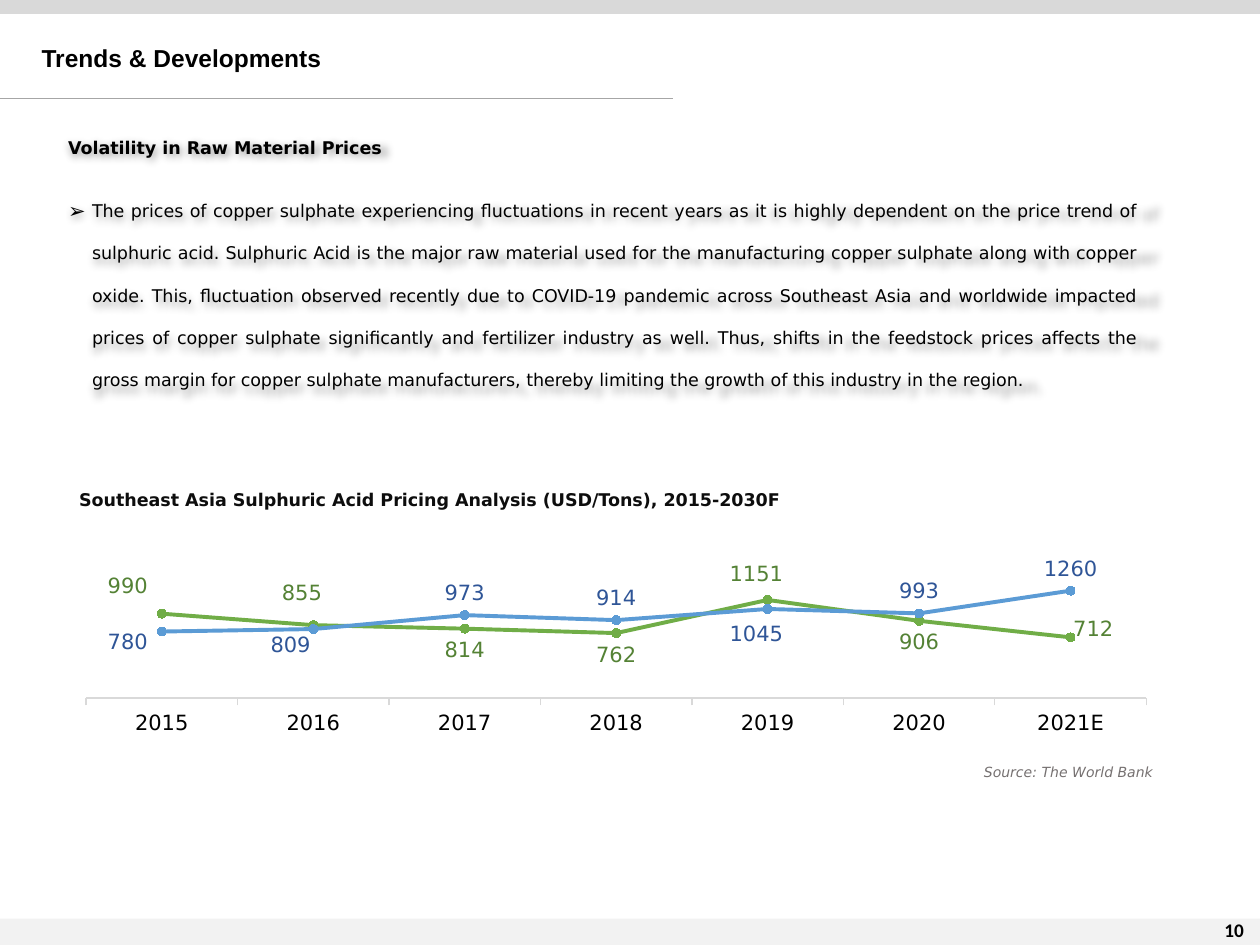
from lxml.etree import SubElement as Sub
from pptx import Presentation
from pptx.chart.data import CategoryChartData as Data
from pptx.dml.color import RGBColor
from pptx.enum.chart import XL_CHART_TYPE as Kind, XL_LABEL_POSITION as Spot
from pptx.enum.chart import XL_MARKER_STYLE as Mark, XL_TICK_MARK as Tick
from pptx.enum.shapes import MSO_CONNECTOR as Link, MSO_SHAPE as Form
from pptx.enum.text import MSO_ANCHOR as Anchor, MSO_AUTO_SIZE as Fit, PP_ALIGN as Align
from pptx.oxml import parse_xml
from pptx.oxml.ns import qn
from pptx.util import Inches, Pt

COLS, ROWS = 100, 75
SANS = "DejaVu Sans"
YEARS = ["2015", "2016", "2017", "2018", "2019", "2020", "2021E"]
LINES = [
    ("Series 1", [990, 855, 814, 762, 1151, 906, 712], "70AD47", "548235", Spot.BELOW,
     {0: (-0.03, -0.23), 1: (-0.01, -0.25), 4: (-0.01, -0.22), 6: (0.02, -0.14)}),
    ("Series 2", [780, 809, 973, 914, 1045, 993, 1260], "5B9BD5", "2F5597", Spot.ABOVE,
     {0: (-0.03, 0.15), 1: (-0.02, 0.18), 4: (-0.01, 0.22)}),
]
TREND = (
    "The prices of copper sulphate experiencing fluctuations in recent years as it is highly "
    "dependent on the price trend of sulphuric acid. Sulphuric Acid is the major raw material "
    "used for the manufacturing copper sulphate along with copper oxide. This, fluctuation "
    "observed recently due to COVID-19 pandemic across Southeast Asia and worldwide impacted "
    "prices of copper sulphate significantly and fertilizer industry as well. Thus, shifts in "
    "the feedstock prices affects the gross margin for copper sulphate manufacturers, thereby "
    "limiting the growth of this industry in the region."
)


def tint(code):
    """Turn a hex string into a colour."""
    return RGBColor.from_string(code)


def style(font, size, code, name=SANS, bold=False, slant=False):
    """Set every trait of a font."""
    font.name, font.size, font.bold, font.italic = name, Pt(size), bold, slant
    font.color.rgb = tint(code)


def place(node, spot, **parts):
    """Put a manual chart layout into a node."""
    for old in node.findall(qn("c:layout")):
        node.remove(old)
    lay = node.makeelement(qn("c:layout"))
    node.insert(spot, lay)
    man = Sub(lay, qn("c:manualLayout"))
    for key, val in parts.items():
        Sub(man, qn("c:" + key), val=str(val))


class Page:
    """Hold the slide and its grid, and draw each kind of element."""

    def __init__(self, deck):
        """Start a slide with a title and a body."""
        self.slide = deck.slides.add_slide(deck.slide_layouts[1])
        self.shapes = self.slide.shapes
        self.col, self.row = deck.slide_width / COLS, deck.slide_height / ROWS

    def area(self, x, y, w, h):
        """Turn columns and rows into lengths."""
        return [int(n * u) for n, u in zip((x, y, w, h), (self.col, self.row) * 2)]

    def move(self, item, *box):
        """Move an item to a grid area."""
        item.left, item.top, item.width, item.height = self.area(*box)

    def band(self, y, h, code):
        """Draw a bar over the whole width."""
        bar = self.shapes.add_shape(Form.RECTANGLE, *self.area(0, y, COLS, h))
        bar.shadow.inherit = False
        bar.fill.solid()
        bar.fill.fore_color.rgb = tint(code)
        bar.line.fill.background()

    def rule(self, x, y, end):
        """Draw a thin level line."""
        a, b, c, d = self.area(x, y, end, y)
        line = self.shapes.add_connector(Link.STRAIGHT, a, b, c, d)
        line.line.color.rgb, line.line.width = tint("A6A6A6"), Pt(0.5)
        Sub(line._element.spPr, qn("a:effectLst"))

    def title(self, text, *box):
        """Fill the title placeholder."""
        item = self.shapes.title
        self.move(item, *box)
        frame = item.text_frame
        frame.text, frame.auto_size, frame.vertical_anchor = text, Fit.NONE, Anchor.MIDDLE
        para = frame.paragraphs[0]
        para.alignment, para.line_spacing = Align.LEFT, Pt(17)
        style(para.font, 14, "000000", "Arial", True)

    def body(self, head, text, *box):
        """Fill the body placeholder with a heading and one bullet."""
        item = self.slide.placeholders[1]
        self.move(item, *box)
        frame = item.text_frame
        frame.text, frame.auto_size = head + "\n" + text, Fit.NONE
        top, point = frame.paragraphs
        for para, gap, space, bold in ((top, 0, 1, True), (point, 12, 2, False)):
            para.alignment, para.line_spacing = Align.JUSTIFY, space
            para.space_before = Pt(gap)
            style(para.font, 10, "000000", bold=bold)
            dent = 0 if bold else Inches(0.19)
            prop = para._p.get_or_add_pPr()
            prop.set("marL", str(dent))
            prop.set("indent", str(-dent))
        Sub(top._p.pPr, qn("a:buNone"))
        for tag, key, val in (("buSzPct", "val", "120000"), ("buFont", "typeface", SANS),
                              ("buChar", "char", "➢")):
            Sub(point._p.pPr, qn("a:" + tag)).set(key, val)
        for prop in frame._txBody.iter(qn("a:pPr")):
            prop.append(prop.find(qn("a:defRPr")))
        glow = Sub(Sub(item._element.spPr, qn("a:effectLst")), qn("a:outerShdw"),
                   blurRad="63500", sx="102000", sy="102000", algn="ctr", rotWithShape="0")
        Sub(Sub(glow, qn("a:prstClr"), val="black"), qn("a:alpha"), val="40000")

    def text(self, words, box, size, code, align=Align.LEFT, space=1, **look):
        """Add a one-line text box."""
        frame = self.shapes.add_textbox(*self.area(*box)).text_frame
        frame.text, frame.word_wrap = words, True
        frame.vertical_anchor = Anchor.MIDDLE if align == Align.CENTER else Anchor.TOP
        para = frame.paragraphs[0]
        para.alignment, para.line_spacing = align, space
        style(para.font, size, code, **look)

    def chart(self, *box):
        """Add the price chart."""
        data = Data(number_format="0")
        data.categories = YEARS
        for name, vals, *_ in LINES:
            data.add_series(name, vals)
        chart = self.shapes.add_chart(Kind.LINE_MARKERS, *self.area(*box), data).chart
        chart.has_legend = chart.has_title = False
        style(chart.font, 12, "000000")
        cat, val = chart.category_axis, chart.value_axis
        cat.major_tick_mark = Tick.OUTSIDE
        cat.has_major_gridlines = val.has_major_gridlines = False
        cat.format.line.color.rgb, cat.format.line.width = tint("D9D9D9"), Pt(0.75)
        style(cat.tick_labels.font, 12, "000000")
        val.visible, val.minimum_scale, val.maximum_scale = False, 0, 1350
        for ser, (_, _, code, ink, spot, moves) in zip(chart.plots[0].series, LINES):
            self.series(ser, code, ink, spot, moves)
        place(chart._chartSpace.chart.plotArea, 0, layoutTarget="inner", xMode="edge",
              yMode="edge", x=0.017, y=0.187, w=0.934, h=0.537)

    def series(self, ser, code, ink, spot, moves):
        """Format one line with its markers and labels."""
        ser.smooth = False
        ser.format.line.color.rgb, ser.format.line.width = tint(code), Pt(2.25)
        ser.marker.style, ser.marker.size = Mark.CIRCLE, 5
        look = ser.marker.format
        look.fill.solid()
        look.fill.fore_color.rgb = look.line.color.rgb = tint(code)
        tags = ser.data_labels
        tags.show_value, tags.position = True, spot
        tags.number_format, tags.number_format_is_linked = "0", False
        style(tags.font, 12, ink)
        for num in moves:
            tag = ser.points[num].data_label
            style(tag.font, 12, ink)
            tag.position = spot
        for node, (x, y) in zip(ser._element.iter(qn("c:dLbl")), moves.values()):
            place(node, 1, x=x, y=y)
        for node in ser._element.iter(qn("c:showLeaderLines")):
            node.set("val", "0")


def main():
    """Build and save the slide."""
    deck = Presentation()
    deck.slide_width, deck.slide_height = Inches(10), Inches(7.5)
    page = Page(deck)
    page.band(0, 1.1, "D9D9D9")
    page.rule(0, 7.8, 53.4)
    page.band(72.9, 2.1, "F2F2F2")
    page.text("10", (95.5, 71.8, 4.9, 4), 11, "000000", Align.CENTER, name="Calibri", bold=True)
    page.title("Trends & Developments", 2.3, 3, 97.6, 3.2)
    page.text("Source: The World Bank", (77.1, 60.1, 22.5, 2.4), 8, "767171", slant=True)
    page.chart(5.3, 43.1, 90.1, 17)
    page.body("Volatility in Raw Material Prices", TREND, 4.4, 10.4, 86.8, 27.1)
    page.text("Southeast Asia Sulphuric Acid Pricing Analysis (USD/Tons), 2015-2030F",
              (5.3, 37.5, 94.7, 3.2), 10, "0D0D0D", space=1.5, bold=True)
    deck.save("out.pptx")


if __name__ == "__main__":
    main()
